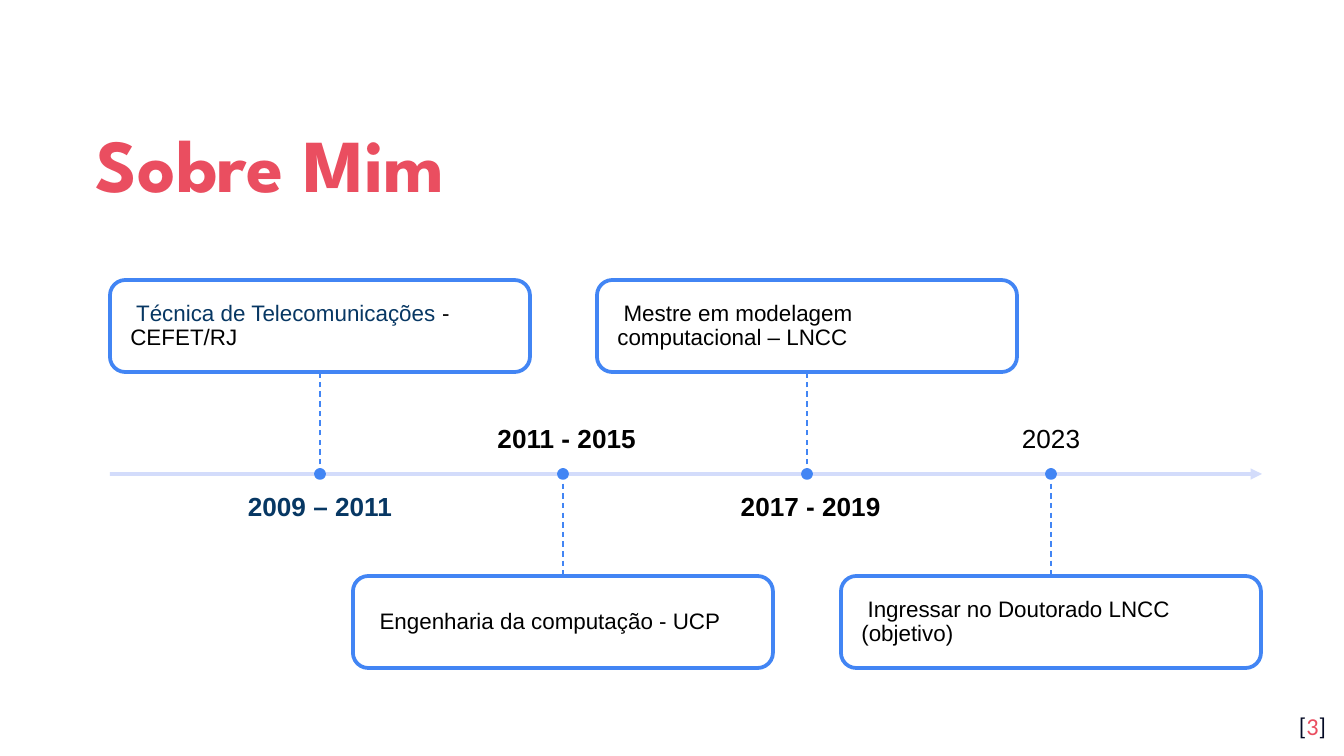
"""Build the "Sobre Mim" timeline slide."""
from lxml import etree
from pptx import Presentation
from pptx import util as u
from pptx.dml.color import RGBColor
from pptx.enum import dml, shapes, text
from pptx.oxml import ns

PX = 914400 / 134.4
CORAL = RGBColor(0xEA, 0x4E, 0x60)
INK = RGBColor(0x04, 0x0A, 0x24)
NAVY = RGBColor(0x07, 0x37, 0x63)
BLUE = RGBColor(0x42, 0x85, 0xF4)
PALE = RGBColor(0xCF, 0xD9, 0xFB)
BLACK = RGBColor(0, 0, 0)
WHITE = RGBColor(0xFF, 0xFF, 0xFF)
LEFT, CENTER, RIGHT = text.PP_ALIGN.LEFT, text.PP_ALIGN.CENTER, text.PP_ALIGN.RIGHT
TOP, MIDDLE, BOTTOM = text.MSO_ANCHOR.TOP, text.MSO_ANCHOR.MIDDLE, text.MSO_ANCHOR.BOTTOM


def px(*values):
    return [u.Emu(round(v * PX)) for v in values]


def write(sp, runs, anchor, align, inset, spacing, **font):
    tf = sp.text_frame
    margin = px(inset)[0]
    frame = dict(word_wrap=True, vertical_anchor=anchor, margin_left=margin,
                 margin_top=margin, margin_right=margin, margin_bottom=margin)
    for key, value in frame.items():
        setattr(tf, key, value)
    p = tf.paragraphs[0]
    p.alignment, p.line_spacing = align, spacing
    for words, color in runs:
        r = p.add_run()
        r.text = words
        r.font.color.rgb = color
        for key, value in font.items():
            setattr(r.font, key, value)


prs = Presentation()
prs.slide_width, prs.slide_height = px(1344, 756)
s = prs.slides.add_slide(prs.slide_layouts[6])

title = s.shapes.add_textbox(*px(83, 94, 534, 124))
write(title, [("Sobre Mim", CORAL)], MIDDLE, LEFT, 13, 1.15,
      name="League Spartan", size=u.Pt(40), bold=True)
number = s.shapes.add_textbox(*px(1258, 698, 81, 58))
write(number, [("[", INK), ("3", CORAL), ("]", INK)], TOP, RIGHT, 13, 1.0,
      name="Calibri", size=u.Pt(13))

AXIS_Y = 474
STRAIGHT = shapes.MSO_CONNECTOR.STRAIGHT
axis = s.shapes.add_connector(STRAIGHT, *px(110, AXIS_Y, 1262, AXIS_Y))
axis.line.color.rgb = PALE
axis.line.width = u.Pt(2)
ln = axis.line._get_or_add_ln()
etree.SubElement(ln, ns.qn("a:tailEnd"), type="triangle")
connectors, translucent = [axis], [ln]

milestones = [
    ([(" ", BLACK), ("2009 – 2011 ", NAVY)], True,
     [(" Técnica de Telecomunicações ", NAVY), ("- CEFET/RJ", BLACK)]),
    ([(" 2011 - 2015", BLACK)], True, [(" Engenharia da computação - UCP", BLACK)]),
    ([(" 2017 - 2019", BLACK)], True,
     [(" Mestre em modelagem computacional – LNCC", BLACK)]),
    ([("2023", BLACK)], False, [(" Ingressar no Doutorado LNCC (objetivo)", BLACK)]),
]
for i, (years, bold, event) in enumerate(milestones):
    x = 320 + 731 * i // 3
    above = i % 2 == 0
    box_y, label_y, site, anchor = (280, 494, 2, TOP) if above else (576, 394, 0, BOTTOM)

    box = s.shapes.add_shape(shapes.MSO_SHAPE.ROUNDED_RECTANGLE,
                             *px(x - 210, box_y, 420, 92))
    write(box, event, MIDDLE, LEFT, 16, 0.9, name="Arial", size=u.Pt(12))
    label = s.shapes.add_textbox(*px(x - 185, label_y, 370, 60))
    write(label, years, anchor, CENTER, 0, 0.9, name="Arial", size=u.Pt(14), bold=bold)

    stem = s.shapes.add_connector(STRAIGHT, *px(x, AXIS_Y, x, box_y))
    stem.end_connect(box, site)
    stem.line.color.rgb = BLUE
    stem.line.width = u.Pt(0.75)
    stem.line.dash_style = dml.MSO_LINE.DASH
    dot = s.shapes.add_shape(shapes.MSO_SHAPE.OVAL, *px(x - 4, AXIS_Y - 4, 8, 8))
    for sp, fill in ((box, WHITE), (dot, BLUE)):
        sp.shadow.inherit = False
        sp.fill.solid()
        sp.fill.fore_color.rgb = fill
        sp.line.color.rgb = BLUE
        sp.line.width = u.Pt(2)
    connectors.append(stem)
    translucent.append(box._element.spPr)

for c in connectors:
    etree.SubElement(c._element.spPr, ns.qn("a:effectLst"))
for parent in translucent:
    color = parent.find(ns.qn("a:solidFill")).find(ns.qn("a:srgbClr"))
    etree.SubElement(color, ns.qn("a:alpha"), val="90000")

prs.save("out.pptx")
